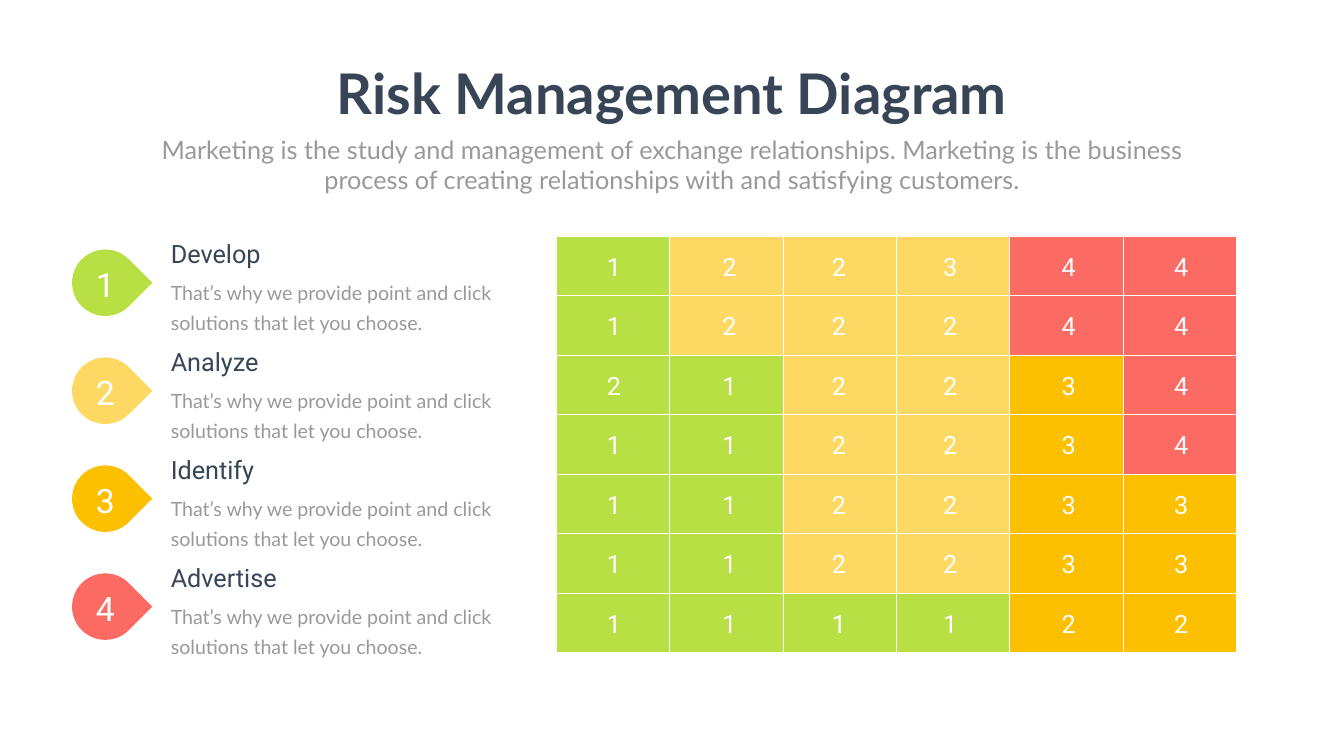
from pptx import Presentation
from pptx import util as u
from pptx.dml.color import RGBColor
from pptx.enum import shapes, text

WIDTH, HEIGHT = 26.66, 15
COLUMNS = ROWS = 100
WHITE, INK, GREY = "FFFFFF", "374556", "999999"
LEVELS = {"G": "B8DF43", "Y": "FDD964", "O": "FCC000", "R": "FB6B64"}
HEADINGS = ["Develop", "Analyze", "Identify", "Advertise"]
DETAIL = "That’s why we provide point and click solutions that let you choose."
SUMMARY = (
    "Marketing is the study and management of exchange relationships. "
    "Marketing is the business process of creating relationships with "
    "and satisfying customers."
)
SCORES = ["122344", "122244", "212234", "112234", "112233", "112233", "111122"]
ZONES = ["GYYYRR", "GYYYRR", "GGYYOR", "GGYYOR", "GGYYOO", "GGYYOO", "GGGGOO"]
SCORE_OFFSETS = [2.22, 10.81, 18.95, 27.23, 36.05, 44.41]
CENTER, LEFT = text.PP_ALIGN.CENTER, text.PP_ALIGN.LEFT


def place(left, top, width, height):
    """Turn grid columns and rows into slide lengths."""
    column, row = WIDTH / COLUMNS, HEIGHT / ROWS
    return (u.Inches(left * column), u.Inches(top * row),
            u.Inches(width * column), u.Inches(height * row))


def paint(fill, colour):
    """Give a fill one solid colour."""
    fill.solid()
    fill.fore_color.rgb = RGBColor.from_string(colour)


def write(frame, words, size, font, colour, align=LEFT, bold=False, leading=1.0):
    """Set one formatted paragraph in a frame that wraps and starts at the top."""
    frame.word_wrap = True
    frame.auto_size = text.MSO_AUTO_SIZE.NONE
    frame.vertical_anchor = text.MSO_ANCHOR.TOP
    frame.margin_left = frame.margin_right = u.Inches(0.1)
    frame.margin_top = frame.margin_bottom = u.Inches(0.05)
    frame.text = words
    para = frame.paragraphs[0]
    para.alignment = align
    para.line_spacing = leading
    para.space_before = u.Pt(0)
    span = para.runs[0].font
    span.size, span.name, span.bold = u.Pt(size), font, bold
    span.color.rgb = RGBColor.from_string(colour)


def add_label(page, box, *style, **options):
    """Add a text box holding one paragraph."""
    write(page.shapes.add_textbox(*place(*box)).text_frame, *style, **options)


def add_block(page, kind, box, colour):
    """Add a flat preset shape without an outline."""
    block = page.shapes.add_shape(kind, *place(*box))
    block.shadow.inherit = False
    block.line.fill.background()
    paint(block.fill, colour)
    return block


def add_header(page, box):
    """Fill the title and the subtitle inside the header box."""
    left, top, width, height = box
    title, subtitle = page.placeholders
    title.left, title.top, title.width, title.height = place(
        left + 13.28, top, 51.54, 9.67)
    subtitle.left, subtitle.top, subtitle.width, subtitle.height = place(
        left, top + 9.93, width, height - 9.93)
    write(title.text_frame, "Risk Management Diagram", 80, "Lato", INK, CENTER, True)
    write(subtitle.text_frame, SUMMARY, 36, "Lato", GREY, CENTER)


def add_entry(page, box, number, heading, colour):
    """Add a numbered drop with its heading and detail."""
    left, top, width, height = box
    drop = add_block(page, shapes.MSO_SHAPE.TEAR, (left, top + 1.8, 4.95, 8.8), colour)
    drop.rotation = 45
    add_label(page, (left + 0.79, top + 3.4, 3.38, 5.53),
              str(number), 48, "Roboto", WHITE, CENTER)
    text_left = left + 6.98
    add_label(page, (text_left, top, 15.08, 4.27), heading, 36, "Roboto", INK)
    add_label(page, (text_left, top + 4.73, width - 6.98, height - 4.73),
              DETAIL, 28, "Lato", GREY, leading=u.Pt(43))


def add_legend(page, box):
    """Stack the entries at an even pitch inside the box."""
    left, top, width, height = box
    pitch = height / len(HEADINGS)
    for index, (heading, colour) in enumerate(zip(HEADINGS, LEVELS.values())):
        add_entry(page, (left, top + index * pitch, width, 13),
                  index + 1, heading, colour)


def add_matrix(page, box):
    """Add the risk matrix as outlined cells, then the scores over them."""
    left, top, width, height = box
    cell_width, cell_height = width / len(ZONES[0]), height / len(ZONES)
    for row, zones in enumerate(ZONES):
        for column, zone in enumerate(zones):
            cell = add_block(
                page, shapes.MSO_SHAPE.RECTANGLE,
                (left + column * cell_width, top + row * cell_height,
                 cell_width, cell_height), LEVELS[zone])
            paint(cell.line.fill, WHITE)
            cell.line.width = u.Pt(1)
    for row, scores in enumerate(SCORES):
        for offset, score in zip(SCORE_OFFSETS, scores):
            add_label(page, (left + offset, top + row * cell_height + 1.67, 4.2, 4.73),
                      score, 36, "Roboto", WHITE, CENTER)


def main():
    """Build and save the slide."""
    deck = Presentation()
    deck.slide_width, deck.slide_height = u.Inches(WIDTH), u.Inches(HEIGHT)
    page = deck.slides.add_slide(deck.slide_layouts[0])
    paint(page.background.fill, "FEFFFE")
    add_header(page, (10.95, 7.47, 78.09, 18.66))
    add_matrix(page, (41.37, 31.2, 50.64, 55.13))
    add_legend(page, (5.36, 31.2, 33.87, 57.12))
    deck.save("out.pptx")


if __name__ == "__main__":
    main()
